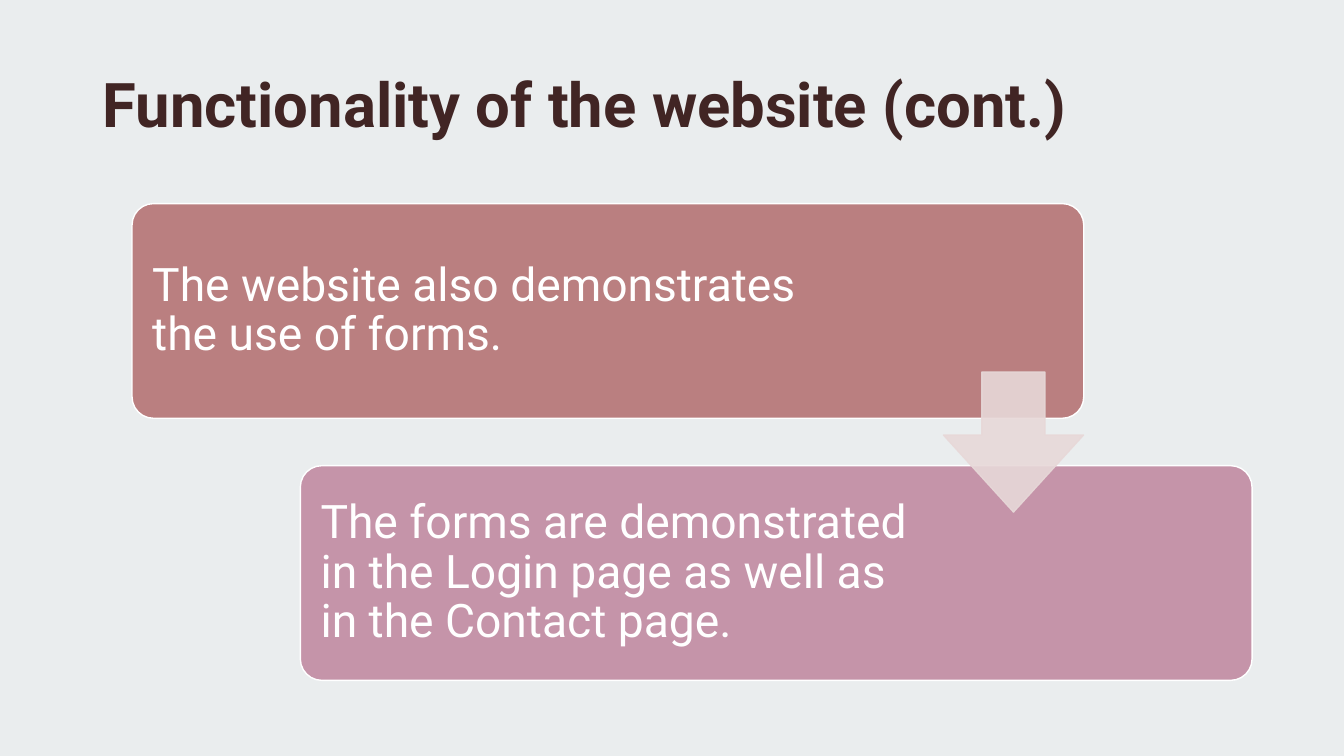
from dataclasses import dataclass

from lxml.etree import SubElement
from pptx import Presentation
from pptx.dml.color import RGBColor
from pptx.dml.fill import FillFormat
from pptx.enum.shapes import MSO_SHAPE
from pptx.enum.text import MSO_ANCHOR, PP_ALIGN
from pptx.oxml.ns import qn
from pptx.shapes.autoshape import Shape
from pptx.slide import Slide
from pptx.util import Inches, Pt

COLUMNS, ROWS = 160, 90
SLIDE_WIDTH, SLIDE_HEIGHT = Inches(13.33), Inches(7.5)
FONT = "Roboto"
WHITE = "FFFFFF"


@dataclass(frozen=True)
class Area:
    column: float
    row: float
    columns: float
    rows: float

    def box(self) -> tuple[int, int, int, int]:
        across, down = SLIDE_WIDTH / COLUMNS, SLIDE_HEIGHT / ROWS
        return (round(self.column * across), round(self.row * down),
                round(self.columns * across), round(self.rows * down))


@dataclass(frozen=True)
class Step:
    message: str
    color: str
    text_columns: float


STEPS = (
    Step("The website also demonstrates the use of forms.", "BA7F80", 86.88),
    Step("The forms are demonstrated in the Login page as well as in the Contact page.",
         "C594A9", 75.12),
)
FIRST_STEP = Area(15.72, 24.24, 113.3, 25.56)
STEP_RIGHT, STEP_DOWN = 20.04, 31.2
TEXT_MARGIN = 0.72


def paint(fill: FillFormat, color: str, opacity: int = 100) -> None:
    fill.solid()
    fill.fore_color.rgb = RGBColor.from_string(color)
    if opacity < 100:
        for tint in fill._xPr.iter(qn("a:srgbClr")):
            SubElement(tint, qn("a:alpha"), val=str(opacity * 1000))


def add_block(slide: Slide, kind: MSO_SHAPE, area: Area, color: str,
              opacity: int = 100, outline: str = "",
              adjustments: tuple[float, ...] = ()) -> None:
    block = slide.shapes.add_shape(kind, *area.box())
    block.shadow.inherit = False
    for index, value in enumerate(adjustments):
        block.adjustments[index] = value
    paint(block.fill, color, opacity)
    if outline:
        paint(block.line.fill, outline, opacity)
        block.line.width = Pt(1)
    else:
        block.line.fill.background()


def add_text(slide: Slide, area: Area, text: str, size: float, color: str,
             bold: bool = False) -> Shape:
    label = slide.shapes.add_textbox(*area.box())
    frame = label.text_frame
    frame.word_wrap = True
    frame.text = text
    frame.paragraphs[0].alignment = PP_ALIGN.LEFT
    font = frame.paragraphs[0].runs[0].font
    font.name, font.size, font.bold = FONT, Pt(size), bold
    font.color.rgb = RGBColor.from_string(color)
    return label


def add_step(slide: Slide, step: Step, position: int) -> None:
    area = Area(FIRST_STEP.column + position * STEP_RIGHT,
                FIRST_STEP.row + position * STEP_DOWN,
                FIRST_STEP.columns, FIRST_STEP.rows)
    add_block(slide, MSO_SHAPE.ROUNDED_RECTANGLE, area, step.color,
              outline=WHITE, adjustments=(0.1,))
    text_area = Area(area.column + TEXT_MARGIN, area.row + TEXT_MARGIN,
                     step.text_columns, area.rows - 2 * TEXT_MARGIN)
    frame = add_text(slide, text_area, step.message, 33, WHITE).text_frame
    frame.vertical_anchor = MSO_ANCHOR.MIDDLE
    frame.margin_left = frame.margin_right = Inches(0.14)
    frame.margin_top = frame.margin_bottom = Inches(0.14)
    frame.paragraphs[0].line_spacing = 0.9


def main() -> None:
    deck = Presentation()
    deck.slide_width, deck.slide_height = SLIDE_WIDTH, SLIDE_HEIGHT
    slide = deck.slides.add_slide(deck.slide_layouts[6])
    paint(slide.background.fill, WHITE)
    add_block(slide, MSO_SHAPE.RECTANGLE, Area(0, 0, COLUMNS, ROWS), "E2E6E8", opacity=70)
    add_text(slide, Area(11.04, 7.32, 135.84, 16.8),
             "Functionality of the website (cont.)", 44, "412524", bold=True)
    for position, step in enumerate(STEPS):
        add_step(slide, step, position)
    add_block(slide, MSO_SHAPE.DOWN_ARROW, Area(112.32, 44.28, 16.68, 16.68), "E7D8D8",
              opacity=90, outline="E7D8D8", adjustments=(0.45, 0.55))
    deck.save("out.pptx")


if __name__ == "__main__":
    main()
